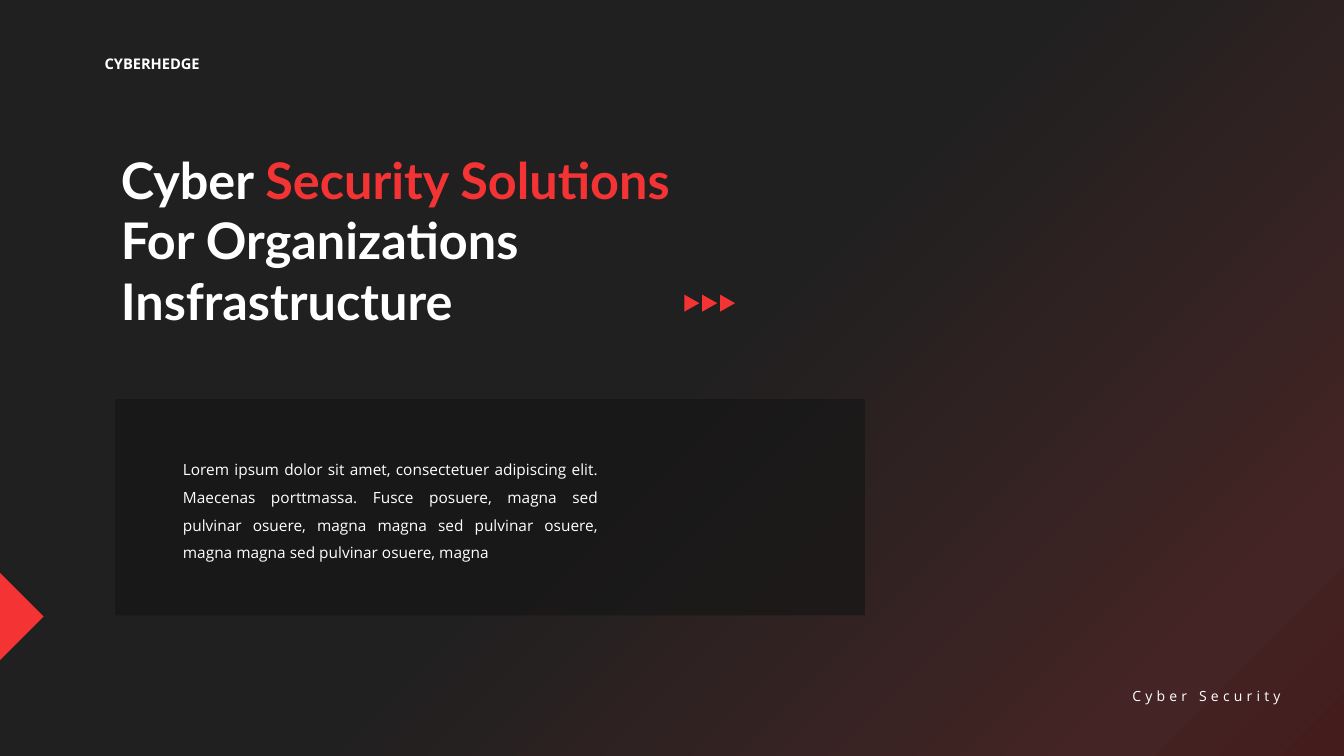
from copy import deepcopy

from lxml import etree
from pptx import Presentation
from pptx.dml.color import RGBColor
from pptx.enum import shapes, text
from pptx.oxml import ns
from pptx.util import Cm, Pt

WHITE = RGBColor(0xFF, 0xFF, 0xFF)
RED = RGBColor(0xF4, 0x33, 0x34)
PANEL = RGBColor(0x16, 0x16, 0x16)
CHARCOAL = RGBColor(0x20, 0x20, 0x20)
WINE = RGBColor(0x44, 0x24, 0x24)
MAROON = RGBColor(0x44, 0x1C, 0x1C)

BACKGROUND = [(0, CHARCOAL), (0.5, CHARCOAL), (0.88, WINE), (1, MAROON)]
BRAND = "CYBERHEDGE"
TITLE = [("Cyber ", WHITE), ("Security Solutions ", RED),
         ("For Organizations Insfrastructure", WHITE)]
BODY = ("Lorem ipsum dolor sit amet, consectetuer adipiscing elit. "
        "Maecenas porttmassa. Fusce posuere, magna sed pulvinar osuere, "
        "magna magna sed pulvinar osuere, magna magna sed pulvinar osuere, magna")
FOOTER = "Cyber Security"
ARROW_COUNT, ARROW_LEFT, ARROW_PITCH = 3, 17.22, 0.45

SHAPE = shapes.MSO_SHAPE
ALIGN = text.PP_ALIGN


def paint_background(slide):
    fill = slide.background.fill
    fill.gradient()
    fill.gradient_angle = 315
    stop_list = slide.element.find(".//" + ns.qn("a:gsLst"))
    while len(stop_list) < len(BACKGROUND):
        stop_list.append(deepcopy(stop_list[0]))
    for stop, (position, color) in zip(fill.gradient_stops, BACKGROUND):
        stop.position = position
        stop.color.rgb = color


def add_plain_shape(slide, kind, left, top, width, height, color, rotation=0):
    shape = slide.shapes.add_shape(kind, Cm(left), Cm(top), Cm(width), Cm(height))
    shape.fill.solid()
    shape.fill.fore_color.rgb = color
    shape.line.fill.background()
    shape.shadow.inherit = False
    shape.rotation = rotation
    return shape


def set_font(paragraph, name, size, bold=False):
    paragraph.font.name = name
    paragraph.font.size = Pt(size)
    paragraph.font.bold = bold
    paragraph.font.color.rgb = WHITE


def add_text(slide, words, left, top, width, height, size,
             align=ALIGN.LEFT, wrap=False, bold=False):
    box = slide.shapes.add_textbox(Cm(left), Cm(top), Cm(width), Cm(height))
    box.text_frame.word_wrap = wrap
    paragraph = box.text_frame.paragraphs[0]
    paragraph.text = words
    paragraph.alignment = align
    set_font(paragraph, "Open Sans", size, bold)
    return box


def fill_title(title):
    title.left, title.top = Cm(2.79), Cm(3.63)
    title.width, title.height = Cm(15.52), Cm(4.88)
    frame = title.text_frame
    frame.auto_size = text.MSO_AUTO_SIZE.NONE
    frame.vertical_anchor = text.MSO_ANCHOR.TOP
    paragraph = frame.paragraphs[0]
    paragraph.alignment = ALIGN.LEFT
    set_font(paragraph, "Lato", 36, True)
    for words, color in TITLE:
        run = paragraph.add_run()
        run.text = words
        run.font.color.rgb = color


def main():
    presentation = Presentation()
    presentation.slide_width, presentation.slide_height = Cm(33.87), Cm(19.05)
    slide = presentation.slides.add_slide(presentation.slide_layouts[5])
    paint_background(slide)

    panel = add_plain_shape(slide, SHAPE.RECTANGLE, 2.9, 10.06, 18.9, 5.45, PANEL)
    panel_color = panel.element.spPr.find(".//" + ns.qn("a:srgbClr"))
    etree.SubElement(panel_color, ns.qn("a:alpha")).set("val", "70000")

    add_text(slide, BRAND, 2.39, 1.25, 3, 0.71, 10.5, bold=True)
    footer = add_text(slide, FOOTER, 27.97, 17.2, 4.55, 0.69, 10, ALIGN.RIGHT)
    for properties in footer.element.iter(ns.qn("a:defRPr"), ns.qn("a:rPr")):
        properties.set("spc", "300")
    footer_run = footer.text_frame.paragraphs[0].runs[0]
    footer_run.font.size = Pt(10)
    footer.element.find(".//" + ns.qn("a:rPr")).set("spc", "300")

    add_plain_shape(slide, SHAPE.RIGHT_TRIANGLE, -0.77, 14.76, 1.55, 1.55, RED, 225)
    fill_title(slide.shapes.title)
    body = add_text(slide, BODY, 4.36, 11.24, 10.97, 3.07, 11, ALIGN.JUSTIFY, True)
    body.text_frame.paragraphs[0].line_spacing = 1.5

    for index in range(ARROW_COUNT):
        add_plain_shape(slide, SHAPE.ISOSCELES_TRIANGLE,
                        ARROW_LEFT + index * ARROW_PITCH, 7.45, 0.43, 0.38, RED, 90)

    presentation.save("out.pptx")


if __name__ == "__main__":
    main()
